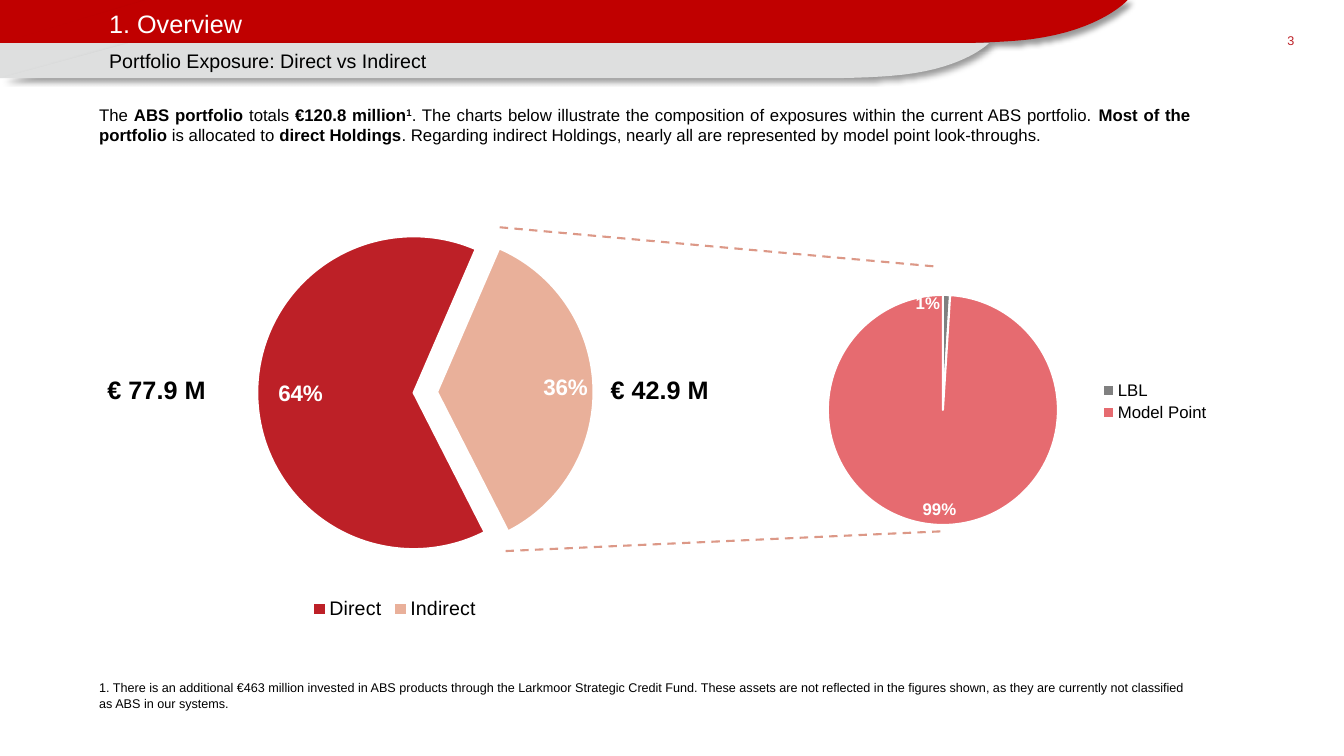
from dataclasses import dataclass

from lxml.etree import SubElement
from pptx import Presentation
from pptx.chart.data import CategoryChartData
from pptx.dml.color import RGBColor
from pptx.enum.chart import XL_CHART_TYPE, XL_LABEL_POSITION, XL_LEGEND_POSITION
from pptx.enum.dml import MSO_LINE
from pptx.enum.shapes import MSO_CONNECTOR, MSO_SHAPE
from pptx.enum.text import MSO_ANCHOR, PP_ALIGN
from pptx.oxml import parse_xml
from pptx.oxml.ns import nsdecls, qn
from pptx.util import Cm, Pt


@dataclass(frozen=True)
class Theme:
    """Colours, type sizes and font of the slide."""
    font: str = "Arial"
    banner: str = "C00000"
    strip: str = "DEDFDF"
    crimson: str = "BD2027"
    peach: str = "E9B09A"
    grey: str = "808080"
    rose: str = "E66B70"
    guide: str = "DC9887"
    ink: str = "000000"
    white: str = "FFFFFF"
    title: int = 18
    subtitle: int = 14
    body: int = 12
    small: int = 9
    amount: int = 18
    chart: int = 10
    share: int = 16
    legend: int = 14


THEME = Theme()


def colour(code):
    """Return the colour for a hex code."""
    return RGBColor.from_string(code)


def style_font(font, size, code=THEME.ink, bold=False):
    """Set the face, size, colour and weight of a font."""
    font.name, font.size, font.bold = THEME.font, Pt(size), bold
    font.color.rgb = colour(code)


def fill_text(box, spans, size, code=THEME.ink, align=PP_ALIGN.LEFT, anchor=MSO_ANCHOR.TOP, inset=0):
    """Write one paragraph of (text, style) spans into a box."""
    frame = box.text_frame
    frame.word_wrap = True
    frame.vertical_anchor = anchor
    frame.margin_left = frame.margin_right = Cm(inset)
    frame.margin_top = frame.margin_bottom = Cm(inset / 2)
    para = frame.paragraphs[0]
    para.alignment = align
    for text, style in spans:
        span = para.add_run()
        span.text = text
        style_font(span.font, size, code, "bold" in style)
        if "raised" in style:
            span._r.get_or_add_rPr().set("baseline", "30000")


def add_text(page, place, spans, size, **options):
    """Add a text box at a place given in centimetres."""
    box = page.shapes.add_textbox(*map(Cm, place))
    fill_text(box, spans, size, **options)


def curve_points(start, first, second, end, steps=16):
    """Sample a cubic curve after its start point."""
    for step in range(1, steps + 1):
        t = step / steps
        weights = ((1 - t) ** 3, 3 * t * (1 - t) ** 2, 3 * t * t * (1 - t), t ** 3)
        yield tuple(sum(w * p[axis] for w, p in zip(weights, (start, first, second, end)))
                    for axis in (0, 1))


def paint(shape, code):
    """Give a shape a plain fill with no outline or shadow."""
    shape.shadow.inherit = False
    shape.fill.solid()
    shape.fill.fore_color.rgb = colour(code)
    shape.line.fill.background()


def add_banner(page, block, notch, tip, curves, code):
    """Add a band with a curved right end and a soft shadow."""
    left, top, _, _ = block
    back = page.shapes.add_shape(MSO_SHAPE.PARALLELOGRAM, *map(Cm, block))
    back.adjustments[0] = 0
    paint(back, code)
    points, start = [(tip, top)], (tip, top)
    for first, second, end in curves:
        points.extend(curve_points(start, first, second, end))
        start = end
    points.append((left, start[1]))
    builder = page.shapes.build_freeform(Cm(notch), Cm(top))
    builder.add_line_segments([(Cm(x), Cm(y)) for x, y in points], close=True)
    band = builder.convert_to_shape()
    paint(band, code)
    effects = band.element.spPr.find(qn("a:effectLst"))
    shadow = SubElement(effects, qn("a:outerShdw"), blurRad=str(Pt(4)), dist=str(Pt(3)),
                        dir="2700000", algn="tl", rotWithShape="0")
    ink = SubElement(shadow, qn("a:srgbClr"), val=THEME.ink)
    SubElement(ink, qn("a:alpha"), val="40000")


def manual_layout(x, y, size=None, inner=False):
    """Build a chart layout from fractions of the chart."""
    parts = [("x", x), ("y", y)]
    if size:
        parts = [("xMode", "edge"), ("yMode", "edge"), *parts, ("w", size[0]), ("h", size[1])]
    if inner:
        parts.insert(0, ("layoutTarget", "inner"))
    body = "".join(f'<c:{name} val="{value}"/>' for name, value in parts)
    return parse_xml(f'<c:layout {nsdecls("c")}><c:manualLayout>{body}</c:manualLayout></c:layout>')


def remove_children(parent, tag):
    """Remove the direct children that have a tag."""
    for child in parent.findall(qn(tag)):
        parent.remove(child)


def add_pie(page, place, slices, plot_area, label_size, label_shift,
            legend_size, legend_side, legend_area=None, start=0, explosion=0):
    """Add a pie from (name, share, colour) slices."""
    data = CategoryChartData(number_format="0%")
    data.categories = [name for name, _, _ in slices]
    data.add_series("Series 1", [share for _, share, _ in slices])
    chart = page.shapes.add_chart(XL_CHART_TYPE.PIE, *map(Cm, place), data).chart
    style_font(chart.font, THEME.chart)
    chart.has_title = False
    chart.has_legend = True
    chart.legend.position = legend_side
    chart.legend.include_in_layout = False
    style_font(chart.legend.font, legend_size)
    plot = chart.plots[0]
    plot.vary_by_categories = True
    series = plot.series[0]
    for index, (_, _, code) in enumerate(slices):
        look = series.points[index].format
        look.fill.solid()
        look.fill.fore_color.rgb = colour(code)
        look.line.color.rgb = colour(THEME.white)
        look.line.width = Pt(1.5)
    labels = series.data_labels
    labels.show_value = True
    labels.number_format, labels.number_format_is_linked = "0%", False
    moved = series.points[0].data_label
    for label in (labels, moved):
        label.position = XL_LABEL_POSITION.INSIDE_END
        style_font(label.font, label_size, THEME.white, True)
    root = chart._chartSpace
    root.find(".//" + qn("c:dLbl")).find(qn("c:idx")).addnext(manual_layout(*label_shift))
    area = root.find(".//" + qn("c:plotArea"))
    remove_children(area, "c:layout")
    area.insert(0, manual_layout(*plot_area, inner=True))
    if legend_area:
        legend = root.find(".//" + qn("c:legend"))
        remove_children(legend, "c:layout")
        legend.find(qn("c:legendPos")).addnext(manual_layout(*legend_area))
    if explosion:
        last = root.findall(".//" + qn("c:dPt"))[-1]
        last.find(qn("c:spPr")).addprevious(
            parse_xml(f'<c:explosion {nsdecls("c")} val="{explosion}"/>'))
    pie = root.find(".//" + qn("c:pieChart"))
    remove_children(pie, "c:firstSliceAng")
    SubElement(pie, qn("c:firstSliceAng"), val=str(start))


def add_guide(page, ends):
    """Add a dashed line between the two pies."""
    guide = page.shapes.add_connector(MSO_CONNECTOR.STRAIGHT, *map(Cm, ends))
    guide.line.color.rgb = colour(THEME.guide)
    guide.line.width = Pt(1.5)
    guide.line.dash_style = MSO_LINE.DASH
    SubElement(guide.element.spPr, qn("a:effectLst"))


def main():
    """Build and save the exposure slide."""
    deck = Presentation()
    deck.slide_width, deck.slide_height = Cm(33.87), Cm(19.05)
    page = deck.slides.add_slide(deck.slide_layouts[5])
    add_banner(page, (0, 0, 3.76, 1.09), 3.68, 28.42,
               [((28.42, 0), (27.76, 0.76), (25.98, 0.99)),
                ((25.12, 1.09), (23.93, 1.09), (23.93, 1.09))], THEME.banner)
    add_banner(page, (0, 1.09, 18.03, 0.88), 3.23, 24.92,
               [((24.92, 1.09), (24.33, 1.7), (22.78, 1.88)),
                ((22.02, 1.97), (20.98, 1.97), (20.98, 1.97))], THEME.strip)
    title = page.shapes.title
    title.left, title.top, title.width, title.height = map(Cm, (2.75, 0.04, 20, 1.09))
    fill_text(title, [("1. Overview", "")], THEME.title, THEME.white, anchor=MSO_ANCHOR.MIDDLE)
    page.shapes.element.append(title.element)
    add_text(page, (2.75, 1.09, 18, 0.89), [("Portfolio Exposure: Direct vs Indirect", "")],
             THEME.subtitle, anchor=MSO_ANCHOR.MIDDLE)
    add_text(page, (31.88, 0.84, 0.74, 0.5), [("3", "")], THEME.small,
             code=THEME.crimson, align=PP_ALIGN.RIGHT)
    add_text(page, (2.25, 2.52, 28, 1.28), [
        ("The ", ""), ("ABS portfolio ", "bold"), ("totals ", ""), ("€120.8 million", "bold"),
        ("1", "bold raised"),
        (". The charts below illustrate the composition of exposures within the current ABS portfolio. ", ""),
        ("Most of the portfolio ", "bold"), ("is allocated to ", ""), ("direct Holdings", "bold"),
        (". Regarding indirect Holdings, nearly all are represented by model point look-throughs.", ""),
    ], THEME.body, align=PP_ALIGN.JUSTIFY, inset=0.25)
    add_pie(page, (0.33, 4.93, 19.23, 10.8),
            [("Direct", 0.64, THEME.crimson), ("Indirect", 0.36, THEME.peach)],
            (0.32, 0.09, (0.41, 0.74)), THEME.share, (0.02, -0.01),
            THEME.legend, XL_LEGEND_POSITION.BOTTOM, start=153, explosion=15)
    add_pie(page, (19.46, 6.43, 11.63, 7.16),
            [("LBL", 0.01, THEME.grey), ("Model Point", 0.99, THEME.rose)],
            (0.12, 0.14, (0.5, 0.81)), THEME.body, (-0.04, -0.02),
            THEME.body, XL_LEGEND_POSITION.RIGHT, (0.71, 0.43, (0.24, 0.17)))
    for ends in ((23.52, 6.71, 12.52, 5.72), (23.7, 13.39, 12.65, 13.89)):
        add_guide(page, ends)
    for left, amount in ((15.14, "€ 42.9 M"), (2.46, "€ 77.9 M")):
        add_text(page, (left, 9.31, 3, 1.02), [(amount, "bold")], THEME.amount, inset=0.25)
    add_text(page, (2.25, 17.02, 28, 1.02), [
        ("1. There is an additional €463 million invested in ABS products through the Larkmoor Strategic "
         "Credit Fund. These assets are not reflected in the figures shown, as they are currently not "
         "classified as ABS in our systems.", "")], THEME.small, inset=0.25)
    deck.save("out.pptx")


if __name__ == "__main__":
    main()
